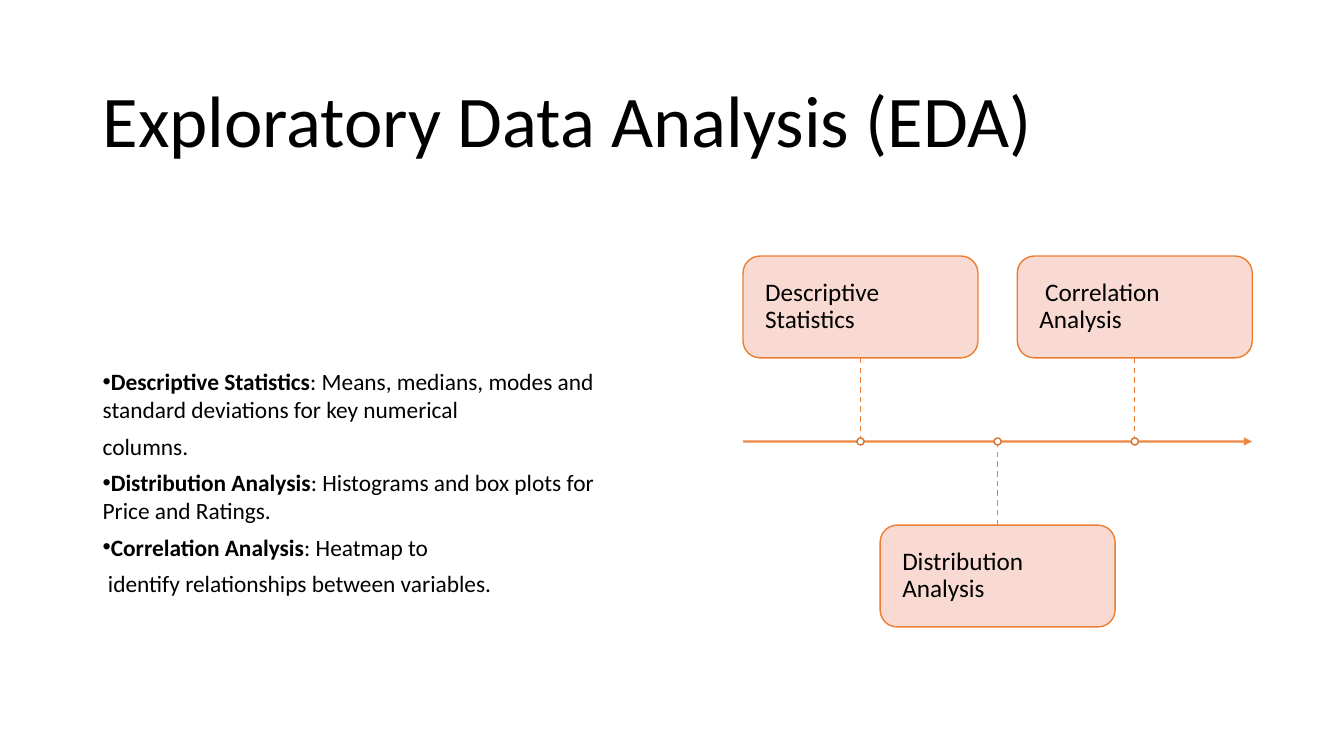
from lxml import etree
from pptx import Presentation
from pptx.dml.color import RGBColor
from pptx.enum.dml import MSO_LINE
from pptx.enum.shapes import MSO_CONNECTOR, MSO_SHAPE
from pptx.enum.text import MSO_ANCHOR, PP_ALIGN
from pptx.oxml.ns import qn
from pptx.util import Inches, Pt

STRAIGHT = MSO_CONNECTOR.STRAIGHT
ROUNDED, OVAL = MSO_SHAPE.ROUNDED_RECTANGLE, MSO_SHAPE.OVAL
MIDDLE, LEFT, DASH = MSO_ANCHOR.MIDDLE, PP_ALIGN.LEFT, MSO_LINE.DASH
TOP_SIDE, BOTTOM_SIDE = 0, 2

FONT = "Calibri"
COLORS = {"text": "000000", "accent": "ED7D31", "card": "F8D7CE",
          "dot": "FFFFFF", "dot_line": "D7712C"}

# Timeline grid, in inches
AXIS_X, AXIS_Y, AXIS_W = 7.37, 4.38, 5.05
CARD_W, CARD_H = 2.33, 1.01
STEP, STEM, DOT = 1.36, 0.83, 0.07

TITLE = "Exploratory Data Analysis (EDA)"
# Each paragraph: bold lead (bulleted when present), plain text
NOTES = [
    ("Descriptive Statistics",
     ": Means, medians, modes and standard deviations for key numerical"),
    ("", "columns."),
    ("Distribution Analysis", ": Histograms and box plots for Price and Ratings."),
    ("Correlation Analysis", ": Heatmap to"),
    ("", " identify relationships between variables."),
]
STAGES = ["Descriptive Statistics", "Distribution Analysis", " Correlation Analysis"]


def rgb(name):
    return RGBColor.from_string(COLORS[name])


def set_alpha(fill_format, parent, percent):
    """Make the solid colour of a fill partly transparent."""
    color = parent.find(qn("a:solidFill"))[0]
    etree.SubElement(color, qn("a:alpha")).set("val", str(percent * 1000))


def add_run(p, text, size, bold=False):
    r = p.add_run()
    r.text = text
    r.font.name, r.font.size, r.font.bold = FONT, Pt(size), bold
    r.font.color.rgb = rgb("text")


def add_bullet(p):
    pPr = p._p.get_or_add_pPr()
    etree.SubElement(pPr, qn("a:buFont")).set("typeface", "Arial")
    etree.SubElement(pPr, qn("a:buChar")).set("char", "•")


def add_text_box(slide, left, top, width, height):
    box = slide.shapes.add_textbox(*map(Inches, (left, top, width, height)))
    tf = box.text_frame
    tf.word_wrap, tf.vertical_anchor = True, MIDDLE
    return tf


def add_outlined(slide, kind, box, fill, line):
    sp = slide.shapes.add_shape(kind, *map(Inches, box))
    sp.shadow.inherit = False
    sp.fill.solid()
    sp.fill.fore_color.rgb = rgb(fill)
    sp.line.color.rgb = rgb(line)
    sp.line.width = Pt(1)
    return sp


def add_line(slide, x1, y1, x2, y2, width):
    line = slide.shapes.add_connector(STRAIGHT, *map(Inches, (x1, y1, x2, y2)))
    line.line.color.rgb = rgb("accent")
    line.line.width = Pt(width)
    etree.SubElement(line._element.spPr, qn("a:effectLst"))
    return line


def add_axis(slide):
    axis = add_line(slide, AXIS_X, AXIS_Y, AXIS_X + AXIS_W, AXIS_Y, 1.5)
    ln = axis.line._get_or_add_ln()
    set_alpha(axis.line.fill, ln, 90)
    etree.SubElement(ln, qn("a:tailEnd")).set("type", "triangle")


def add_stage(slide, index, label):
    """Card above or below the axis, its dashed stem and its dot."""
    above = index % 2 == 0
    left = AXIS_X + index * STEP
    center = left + CARD_W / 2
    top = AXIS_Y - STEM - CARD_H if above else AXIS_Y + STEM

    card = add_outlined(slide, ROUNDED, (left, top, CARD_W, CARD_H), "card", "accent")
    set_alpha(card.fill, card._element.spPr, 90)
    tf = card.text_frame
    tf.word_wrap, tf.vertical_anchor = True, MIDDLE
    tf.margin_left = tf.margin_right = tf.margin_top = tf.margin_bottom = Inches(0.17)
    p = tf.paragraphs[0]
    p.alignment, p.line_spacing = LEFT, 0.9
    add_run(p, label, 18)

    stem = add_line(slide, center, top, center, AXIS_Y, 1)
    stem.line.dash_style = DASH
    stem.begin_connect(card, BOTTOM_SIDE if above else TOP_SIDE)

    add_outlined(slide, OVAL, (center - DOT / 2, AXIS_Y - DOT / 2, DOT, DOT),
                 "dot", "dot_line")


def add_notes_text(slide):
    tf = add_text_box(slide, 0.92, 3.68, 5.25, 2.21)
    for i, (lead, rest) in enumerate(NOTES):
        p = tf.add_paragraph() if i else tf.paragraphs[0]
        p.space_after = Pt(6)
        if lead:
            add_bullet(p)
            add_run(p, lead, 16.7, bold=True)
        add_run(p, rest, 16.7)


def main():
    prs = Presentation()
    prs.slide_width, prs.slide_height = Inches(13.33), Inches(7.5)
    slide = prs.slides.add_slide(prs.slide_layouts[6])

    # Title
    p = add_text_box(slide, 0.92, 0.61, 11.5, 1.24).paragraphs[0]
    p.line_spacing = 0.9
    add_run(p, TITLE, 52)

    # Explanations on the left
    add_notes_text(slide)

    # Timeline on the right
    add_axis(slide)
    for i, label in enumerate(STAGES):
        add_stage(slide, i, label)

    prs.save("out.pptx")


if __name__ == "__main__":
    main()
